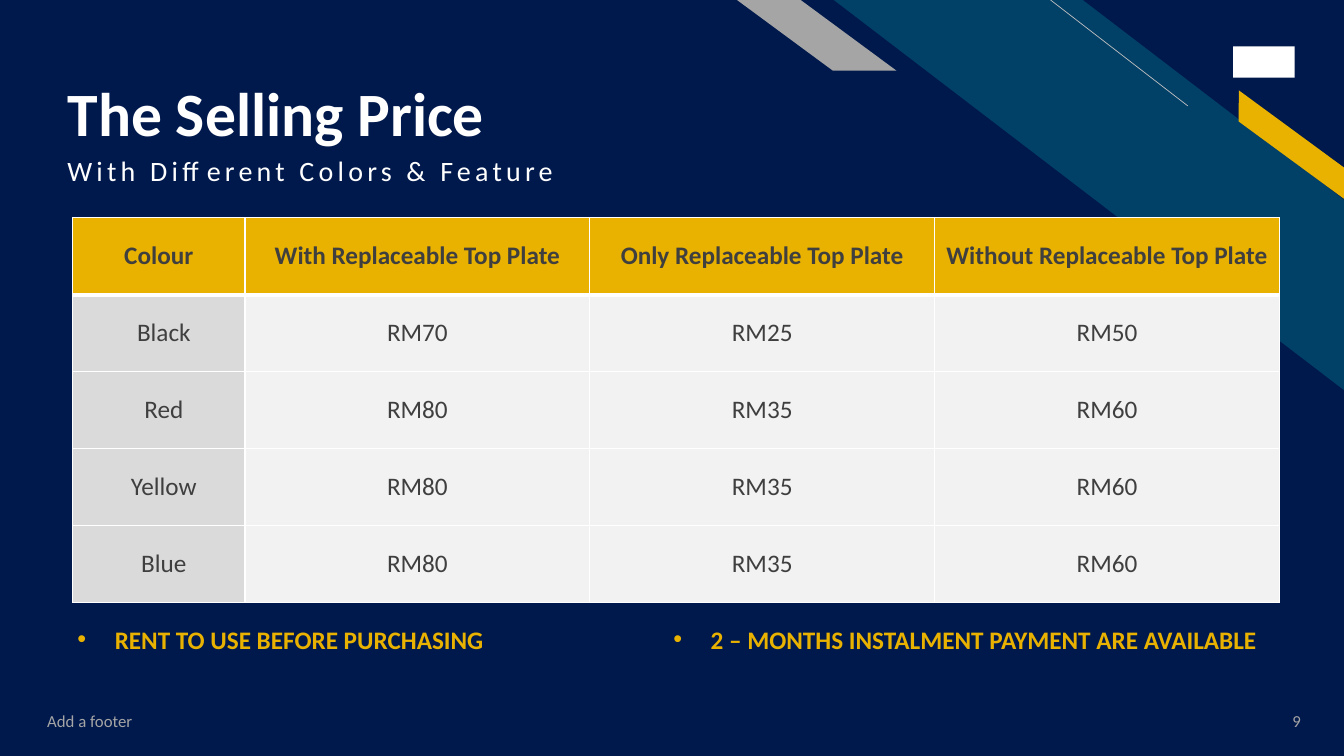
from lxml.etree import SubElement
from pptx import Presentation
from pptx.dml.color import RGBColor
from pptx.enum.shapes import MSO_CONNECTOR, MSO_SHAPE
from pptx.enum.text import MSO_ANCHOR, MSO_AUTO_SIZE, PP_ALIGN
from pptx.oxml.ns import qn
from pptx.util import Emu, Pt

EMU_PER_PX = 9144
FONT = "Calibri"
NAVY, TEAL, GOLD, GREY, SILVER = "00194C", "014067", "EAB200", "A5A5A5", "BFBFBF"
WHITE, CHARCOAL, LABEL_FILL, PRICE_FILL = "FFFFFF", "3F3F3F", "DADADA", "F2F2F2"

PRICES = [
    ["Colour", "With Replaceable Top Plate", "Only Replaceable Top Plate",
     "Without Replaceable Top Plate"],
    ["Black", "RM70", "RM25", "RM50"],
    ["Red", "RM80", "RM35", "RM60"],
    ["Yellow", "RM80", "RM35", "RM60"],
    ["Blue", "RM80", "RM35", "RM60"],
]


def px(length):
    """Turn pixels into EMU."""
    return Emu(length * EMU_PER_PX)


def color(hex_value):
    """Turn a hex string into a colour."""
    return RGBColor.from_string(hex_value)


def apply(target, values):
    """Set each attribute in a dict of format values."""
    for name, value in values.items():
        setattr(target, name, value)


def write(frame, text, size, hex_value, bold=False, **paragraph_values):
    """Put one formatted paragraph into a text frame."""
    paragraph = frame.paragraphs[0]
    apply(paragraph, paragraph_values)
    run = paragraph.add_run()
    run.text = text
    apply(run.font, {"name": FONT, "size": Pt(size), "bold": bold})
    run.font.color.rgb = color(hex_value)
    return paragraph


def add_text(slide, box, **frame_values):
    """Add a wrapping text box and return its frame."""
    frame = slide.shapes.add_textbox(*map(px, box)).text_frame
    apply(frame, {"word_wrap": True, **frame_values})
    return frame


def add_figure(slide, kind, box, hex_value, adjustment=None, rotation=0, flip=False):
    """Add a plain filled shape."""
    shape = slide.shapes.add_shape(kind, *map(px, box))
    shape.shadow.inherit = False
    shape.fill.solid()
    shape.fill.fore_color.rgb = color(hex_value)
    shape.line.fill.background()
    shape.rotation = rotation
    if adjustment is not None:
        shape.adjustments[0] = adjustment
    if flip:
        shape._element.spPr.find(qn("a:xfrm")).set("flipH", "1")


def add_decoration(slide, box):
    """Draw the diagonal stripes against the top right corner of the box."""
    left, top, width, height = box
    right = left + width
    add_figure(slide, MSO_SHAPE.RECTANGLE, (right - 110, top + 46, 61, 31), WHITE)
    add_figure(slide, MSO_SHAPE.DIAGONAL_STRIPE, (right - 506, top, 506, 387), TEAL,
               0.512, flip=True)
    line = slide.shapes.add_connector(
        MSO_CONNECTOR.STRAIGHT, px(right - 155), px(top + 105), px(right - 291), px(top))
    line.line.width = Pt(0.5)
    line.line.color.rgb = color(SILVER)
    SubElement(line._element.spPr, qn("a:effectLst"))
    add_figure(slide, MSO_SHAPE.PARALLELOGRAM, (right - 126, top + 131, 148, 25), GOLD,
               0.72, rotation=36.3, flip=True)
    add_figure(slide, MSO_SHAPE.PARALLELOGRAM, (right - 602, top, 158, 70), GREY,
               1.356, flip=True)


def add_heading(slide, box):
    """Place the title and the spaced subtitle below it."""
    left, top, width, height = box
    title = slide.shapes.title
    apply(title, dict(zip(("left", "top", "width", "height"),
                          map(px, (left, top, width, 126)))))
    apply(title.text_frame, {
        "word_wrap": True, "auto_size": MSO_AUTO_SIZE.NONE,
        "vertical_anchor": MSO_ANCHOR.BOTTOM, "margin_bottom": 0})
    write(title.text_frame, "The Selling Price", 44, WHITE, True,
          alignment=PP_ALIGN.LEFT, line_spacing=0.9)
    frame = add_text(slide, (left, top + 128, 806, height - 128))
    subtitle = write(frame, "With Different Colors & Feature", 20, WHITE, line_spacing=0.9)
    subtitle.runs[0].font._element.set("spc", "300")


def add_border(cell, side, points):
    """Draw one white cell border."""
    border = SubElement(cell._tc.get_or_add_tcPr(), qn(f"a:ln{side}"), w=str(Pt(points)))
    fill = SubElement(border, qn("a:solidFill"))
    SubElement(fill, qn("a:srgbClr"), val=WHITE)


def add_price_table(slide, box):
    """Fill the box with the price table."""
    left, top, width, height = box
    label_width = width // 7
    table = slide.shapes.add_table(len(PRICES), len(PRICES[0]), *map(px, box)).table
    table.horz_banding = False
    for index, column in enumerate(table.columns):
        column.width = px(label_width) if index == 0 else px(width - label_width) // 3
    for row_index, texts in enumerate(PRICES):
        table.rows[row_index].height = px(height) // len(PRICES)
        for column_index, text in enumerate(texts):
            cell = table.cell(row_index, column_index)
            header, label = row_index == 0, column_index == 0
            for side in "LRTB":
                heavy = (row_index, side) in ((0, "B"), (1, "T"))
                add_border(cell, side, 3 if heavy else 1)
            cell.fill.solid()
            cell.fill.fore_color.rgb = color(
                GOLD if header else LABEL_FILL if label else PRICE_FILL)
            apply(cell, {
                "vertical_anchor": MSO_ANCHOR.MIDDLE, "margin_right": px(10),
                "margin_left": px(20 if label and not header else 10)})
            write(cell.text_frame, text, 18, CHARCOAL, header, alignment=PP_ALIGN.CENTER)


def add_offer(slide, box, text):
    """Place one bulleted offer."""
    frame = add_text(slide, box)
    properties = frame.paragraphs[0]._p.get_or_add_pPr()
    properties.set("marL", str(px(37)))
    properties.set("indent", str(px(-37)))
    SubElement(properties, qn("a:buFont"), typeface="Arial")
    SubElement(properties, qn("a:buChar"), char="•")
    write(frame, text, 18, GOLD, True)


def add_footer(slide, box):
    """Place the footer text and the slide number at the ends of the box."""
    left, top, width, height = box
    for text, start, extent, alignment in (
            ("Add a footer", left, 450, PP_ALIGN.LEFT),
            ("9", left + width - 81, 81, PP_ALIGN.RIGHT)):
        frame = add_text(slide, (start, top, extent, height),
                         vertical_anchor=MSO_ANCHOR.MIDDLE)
        write(frame, text, 12, GREY, alignment=alignment)


def main():
    """Build and save the price slide."""
    presentation = Presentation()
    apply(presentation, {"slide_width": px(1333), "slide_height": px(750)})
    slide = presentation.slides.add_slide(presentation.slide_layouts[5])
    slide.background.fill.solid()
    slide.background.fill.fore_color.rgb = color(NAVY)
    add_decoration(slide, (0, 0, 1333, 750))
    add_heading(slide, (57, 23, 911, 195))
    add_price_table(slide, (72, 216, 1197, 382))
    add_footer(slide, (37, 695, 1263, 40))
    add_offer(slide, (67, 614, 484, 40), "RENT TO USE BEFORE PURCHASING")
    add_offer(slide, (658, 614, 643, 40), "2 – MONTHS INSTALMENT PAYMENT ARE AVAILABLE")
    presentation.save("out.pptx")


if __name__ == "__main__":
    main()
